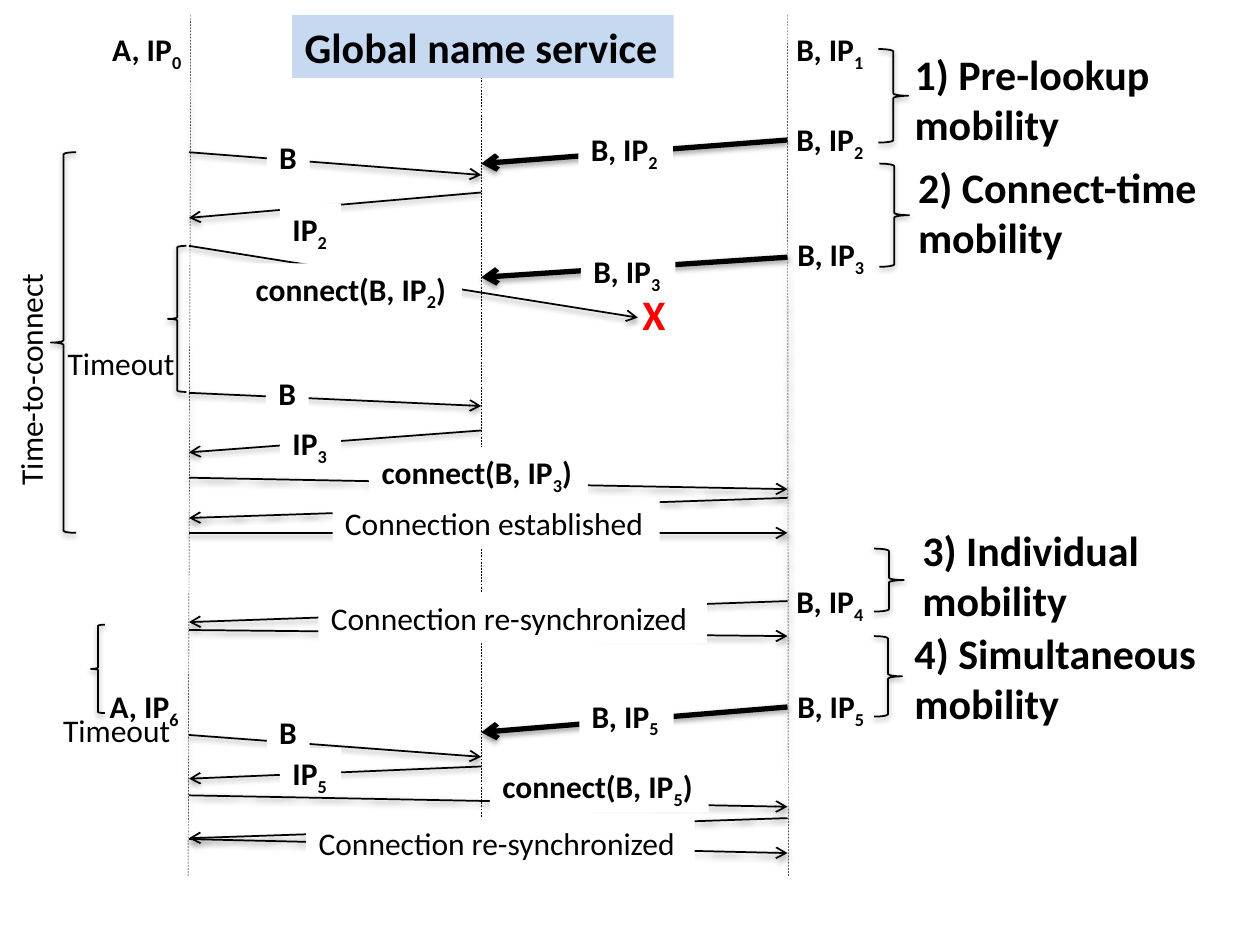
from dataclasses import dataclass

from pptx import Presentation
from pptx.dml.color import RGBColor
from pptx.enum import dml, shapes, text
from pptx.oxml import parse_xml
from pptx.oxml.ns import nsdecls
from pptx.util import Pt


@dataclass(frozen=True)
class Theme:
    font: str = "Calibri"
    ink: str = "000000"
    paper: str = "FFFFFF"
    service: str = "C6D9F1"
    failure: str = "FF0000"
    label_size: int = 18
    heading_size: int = 24
    lifeline: float = 0.25
    thin: float = 1
    thick: float = 3


THEME = Theme()
LABEL_HEIGHT = 29

# Horizontal positions of the three parties' lifelines
A, SERVICE, B = 108, 275, 450

LOOKUP_WIDTH, REPLY_WIDTH, ADDRESS_WIDTH, CONNECT_WIDTH = 24.5, 35, 54, 125
ESTABLISHED_WIDTH, RESYNC_WIDTH = 187, 222

# Arrows (from x, from y, to x, to y, weight), then label (text, left, top, width, bold).
# An underscore in a text makes the next character a subscript.
EXCHANGES = [
    ([(B, 80, SERVICE, 93.5, THEME.thick)], ("B, IP_2", 330.5, 71, ADDRESS_WIDTH, True)),
    ([(A, 87, SERVICE, 100, THEME.thin)], ("B", 152.5, 75.5, LOOKUP_WIDTH, True)),
    ([(SERVICE, 110, A, 124.5, THEME.thin)], ("IP_2", 160, 116.5, REPLY_WIDTH, True)),
    ([(A, 140.5, 364.5, 181.5, THEME.thin)],
     ("connect(B, IP_2)", 139, 150.5, CONNECT_WIDTH, True)),
    ([(B, 147, SERVICE, 158.5, THEME.thick)], ("B, IP_3", 332, 140.5, ADDRESS_WIDTH, True)),
    ([(A, 224.5, SERVICE, 232, THEME.thin)], ("B", 152, 210, LOOKUP_WIDTH, True)),
    ([(SERVICE, 246, A, 258.5, THEME.thin)], ("IP_3", 160, 239, REPLY_WIDTH, True)),
    ([(A, 273, B, 279.5, THEME.thin)],
     ("connect(B, IP_3)", 211, 255.5, CONNECT_WIDTH, True)),
    ([(B, 284.5, A, 296, THEME.thin), (A, 304.5, B, 304.5, THEME.thin)],
     ("Connection established", 190, 284.5, ESTABLISHED_WIDTH, False)),
    ([(B, 343.5, A, 355.5, THEME.thin), (A, 360, B, 363.5, THEME.thin)],
     ("Connection re-synchronized", 182, 338.5, RESYNC_WIDTH, False)),
    ([(B, 404, SERVICE, 418.5, THEME.thick)], ("B, IP_5", 331, 394.5, ADDRESS_WIDTH, True)),
    ([(A, 420, SERVICE, 432.5, THEME.thin)], ("B", 152.5, 404, LOOKUP_WIDTH, True)),
    ([(SERVICE, 438, A, 445, THEME.thin)], ("IP_5", 160, 427.5, REPLY_WIDTH, True)),
    ([(A, 454.5, B, 461, THEME.thin)],
     ("connect(B, IP_5)", 280, 435, CONNECT_WIDTH, True)),
    ([(B, 467.5, A, 479, THEME.thin), (A, 479.5, B, 487.5, THEME.thin)],
     ("Connection re-synchronized", 175, 467.5, RESYNC_WIDTH, False)),
]

ADDRESSES = [
    ("A, IP_0", 57, 13.5), ("A, IP_6", 55.5, 389),
    ("B, IP_1", 448, 13.5), ("B, IP_2", 448, 65), ("B, IP_3", 448.5, 131),
    ("B, IP_4", 448, 329), ("B, IP_5", 448.5, 389),
]

# Brace (left, top, width, height), then heading (text, left, top, width)
MOBILITY_CASES = [
    ((502, 28, 17, 53.5), ("1) Pre-lookup\nmobility", 515.5, 24, 150.5)),
    ((502.5, 93.5, 17, 59), ("2) Connect-time\nmobility", 517.5, 88.5, 175.5)),
    ((499.5, 313.5, 17, 36), ("3) Individual\nmobility", 520, 296, 139.5)),
    ((499.5, 363.5, 16, 46), ("4) Simultaneous\nmobility", 515.5, 355, 177)),
]

# Brace (left, top, width, height), then label (text, left, top, width, rotation)
DELAYS = [
    ((96, 140.5, 10.5, 83.5), ("Timeout", 31.5, 193, 76, 0)),
    ((52, 357, 8, 50.5), ("Timeout", 29, 403, 76, 0)),
    ((29, 87, 14.5, 217.5), ("Time-to-connect", -51, 201.5, 137, 270)),
]


def color(code):
    return RGBColor.from_string(code)


def add_shadow(shape):
    """Give a line or brace the soft shadow that falls straight down."""
    shape._element.spPr.append(parse_xml(
        f'<a:effectLst {nsdecls("a")}>'
        '<a:outerShdw blurRad="40000" dist="20000" dir="5400000" rotWithShape="0">'
        f'<a:srgbClr val="{THEME.ink}"><a:alpha val="38000"/></a:srgbClr>'
        '</a:outerShdw></a:effectLst>'))


def set_line(shape, weight):
    shape.line.color.rgb = color(THEME.ink)
    shape.line.width = Pt(weight)


def add_line(slide, x1, y1, x2, y2, weight, dashed=False, arrow=False):
    line = slide.shapes.add_connector(
        shapes.MSO_CONNECTOR.STRAIGHT, Pt(x1), Pt(y1), Pt(x2), Pt(y2))
    set_line(line, weight)
    if dashed:
        line.line.dash_style = dml.MSO_LINE.DASH
    if arrow:
        line.line._get_or_add_ln().append(
            parse_xml(f'<a:tailEnd {nsdecls("a")} type="arrow"/>'))
    add_shadow(line)


def add_brace(slide, kind, left, top, width, height):
    brace = slide.shapes.add_shape(kind, Pt(left), Pt(top), Pt(width), Pt(height))
    brace.fill.background()
    set_line(brace, THEME.thin)
    add_shadow(brace)


def add_text(slide, content, left, top, width, height=LABEL_HEIGHT, *,
             size=THEME.label_size, bold=False, ink=THEME.ink, fill=None, rotation=0):
    """Add a text box; an underscore makes the next character a subscript."""
    box = slide.shapes.add_textbox(Pt(left), Pt(top), Pt(width), Pt(height))
    box.rotation = rotation
    if fill:
        box.fill.solid()
        box.fill.fore_color.rgb = color(fill)
    frame = box.text_frame
    frame.word_wrap = False
    frame.auto_size = text.MSO_AUTO_SIZE.SHAPE_TO_FIT_TEXT
    for index, line in enumerate(content.split("\n")):
        paragraph = frame.paragraphs[0] if index == 0 else frame.add_paragraph()
        base, _, rest = line.partition("_")
        for part, offset in ((base, None), (rest[:1], "-25000"), (rest[1:], None)):
            if not part:
                continue
            run = paragraph.add_run()
            run.text = part
            run.font.name = THEME.font
            run.font.size = Pt(size)
            run.font.bold = bold
            run.font.color.rgb = color(ink)
            if offset:
                run.font._element.set("baseline", offset)


def main():
    deck = Presentation()
    deck.slide_width, deck.slide_height = Pt(720), Pt(540)
    slide = deck.slides.add_slide(deck.slide_layouts[6])

    for top_x, bottom_x, bottom in ((109, 107.5, 500.5), (B, 450.5, 500.5),
                                    (SERVICE, SERVICE, 479.5)):
        add_line(slide, top_x, 8.5, bottom_x, bottom, THEME.lifeline, dashed=True)
    add_text(slide, "Global name service", 167, 8.5, 218, 36,
             size=THEME.heading_size, bold=True, fill=THEME.service)

    for arrows, (label, left, top, width, bold) in EXCHANGES:
        for arrow in arrows:
            add_line(slide, *arrow, arrow=True)
        add_text(slide, label, left, top, width, bold=bold, fill=THEME.paper)
    add_text(slide, "X", 360, 161.5, 28, 36,
             size=THEME.heading_size, bold=True, ink=THEME.failure)

    for address, left, top in ADDRESSES:
        add_text(slide, address, left, top, ADDRESS_WIDTH, bold=True)
    for brace, heading in MOBILITY_CASES:
        add_brace(slide, shapes.MSO_SHAPE.RIGHT_BRACE, *brace)
        add_text(slide, *heading, 65.5, size=THEME.heading_size, bold=True)
    for brace, (label, left, top, width, rotation) in DELAYS:
        add_brace(slide, shapes.MSO_SHAPE.LEFT_BRACE, *brace)
        add_text(slide, label, left, top, width, rotation=rotation)

    deck.save("out.pptx")


if __name__ == "__main__":
    main()
